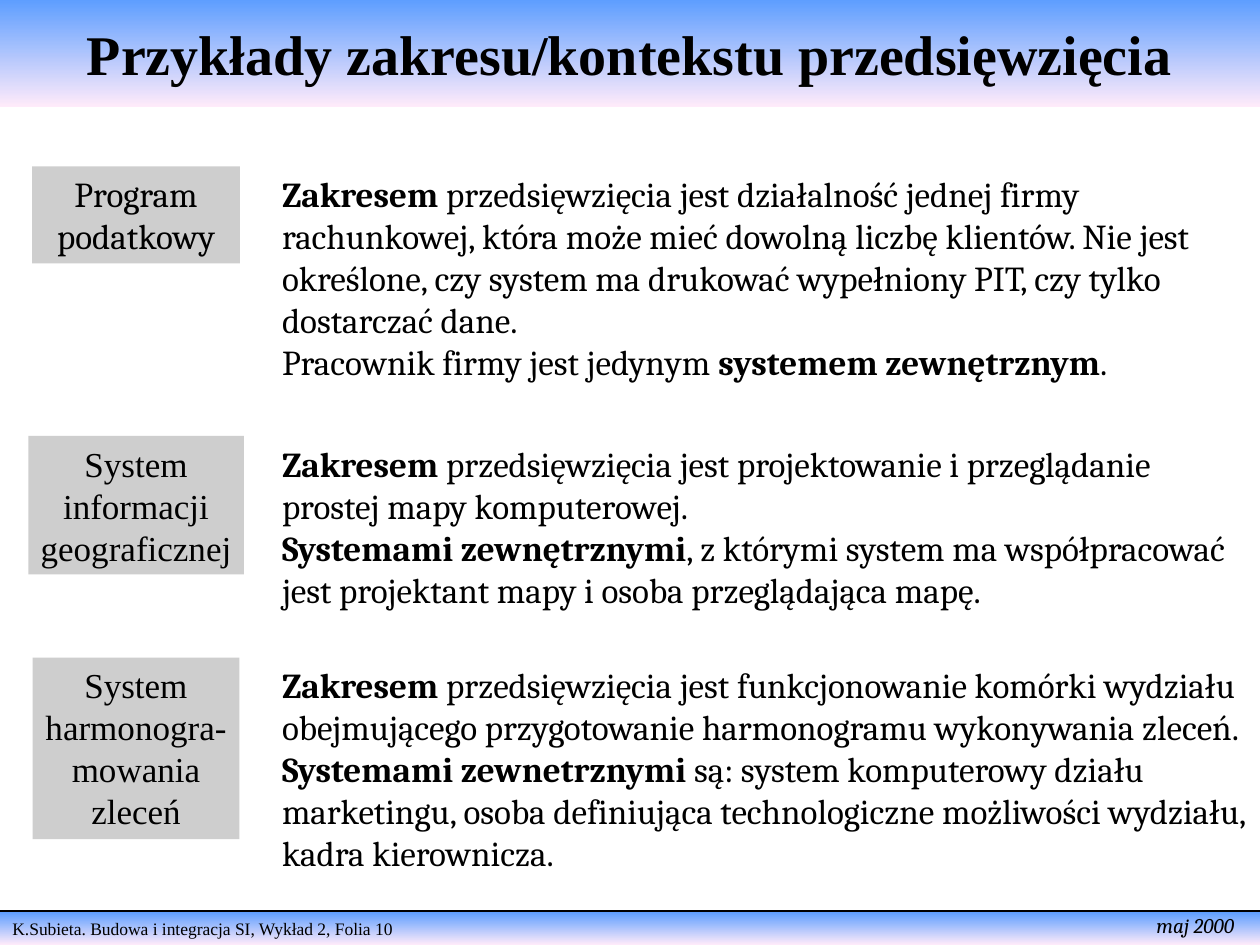
import pptx
import pptx.dml.color
import pptx.enum.shapes
import pptx.enum.text
import pptx.oxml
import pptx.oxml.ns
import pptx.util

BLACK = pptx.dml.color.RGBColor(0x00, 0x00, 0x00)
GREY = pptx.dml.color.RGBColor(0xCE, 0xCE, 0xCE)
BLUE = pptx.dml.color.RGBColor(0x5E, 0x9E, 0xFF)
PINK = pptx.dml.color.RGBColor(0xFF, 0xEB, 0xFA)
SERIF = "Times New Roman"
BODY = "Cambria"
LEFT = pptx.enum.text.PP_ALIGN.LEFT
CENTER = pptx.enum.text.PP_ALIGN.CENTER
WIDTH, HEIGHT = 10, 7.5
TEXT_LEFT = 2.14
LABEL_CENTER = 1.08

ROWS = [
    (1.32, 1.65, 0.77, 1.77, BODY, ["Program", "podatkowy"], [
        "**Zakresem** przedsięwzięcia jest działalność jednej firmy rachunkowej, "
        "która może mieć dowolną liczbę klientów. Nie jest określone, czy system "
        "ma drukować wypełniony PIT, czy tylko dostarczać dane.",
        "Pracownik firmy jest jedynym **systemem zewnętrznym**."]),
    (3.46, 1.71, 1.1, 1.44, SERIF, ["System", "informacji", "geograficznej"], [
        "**Zakresem** przedsięwzięcia jest projektowanie i przeglądanie prostej "
        "mapy komputerowej.",
        "**Systemami zewnętrznymi**, z którymi system ma współpracować jest "
        "projektant mapy i osoba przeglądająca mapę."]),
    (5.22, 1.64, 1.44, 1.77, SERIF,
     ["System", "harmonogra-", "mowania", "zleceń"], [
        "**Zakresem** przedsięwzięcia jest funkcjonowanie komórki wydziału "
        "obejmującego przygotowanie harmonogramu wykonywania zleceń.",
        "**Systemami zewnetrznymi** są: system komputerowy działu marketingu, "
        "osoba definiująca technologiczne możliwości wydziału, kadra "
        "kierownicza."]),
]


def inches(*lengths):
    return [pptx.util.Inches(n) for n in lengths]


def fill_gradient(sp):
    sp.fill.gradient()
    sp.fill.gradient_angle = 270
    for stop, color in zip(sp.fill.gradient_stops, (BLUE, PINK)):
        stop.color.rgb = color


def write(sp, lines, font, size, align=LEFT, wrap=True, italic=False,
          anchor=pptx.enum.text.MSO_ANCHOR.TOP):
    tf = sp.text_frame
    tf.word_wrap = wrap
    tf.vertical_anchor = anchor
    for i, line in enumerate(lines):
        p = tf.add_paragraph() if i else tf.paragraphs[0]
        p.alignment = align
        for j, part in enumerate(line.split("**")):
            if part:
                r = p.add_run()
                r.text = part
                r.font.name = font
                r.font.size = pptx.util.Pt(size)
                r.font.bold = j % 2 == 1
                r.font.italic = italic
                r.font.color.rgb = BLACK


def add_box(s, box):
    sp = s.shapes.add_shape(pptx.enum.shapes.MSO_SHAPE.RECTANGLE, *inches(*box))
    sp.shadow.inherit = False
    sp.line.fill.background()
    return sp


def add_title(s, box):
    sp = s.shapes.title
    sp.left, sp.top, sp.width, sp.height = inches(*box)
    fill_gradient(sp)
    write(sp, ["**Przykłady zakresu/kontekstu przedsięwzięcia**"], SERIF, 32,
          CENTER, anchor=pptx.enum.text.MSO_ANCHOR.MIDDLE)


def add_footer(s, box):
    left, top, width, height = box
    bar = add_box(s, box)
    fill_gradient(bar)
    write(bar, ["K.Subieta. Budowa i integracja SI, Wykład 2, Folia 10"], SERIF, 10)

    rule_y = top - 0.01
    rule = s.shapes.add_connector(
        pptx.enum.shapes.MSO_CONNECTOR.STRAIGHT,
        *inches(left, rule_y, left + width, rule_y))
    rule.line.color.rgb = BLACK
    rule.line.width = pptx.util.Pt(1)
    sp_pr = rule._element.find(pptx.oxml.ns.qn("p:spPr"))
    sp_pr.append(pptx.oxml.parse_xml(
        "<a:effectLst %s/>" % pptx.oxml.ns.nsdecls("a")))

    date = s.shapes.add_textbox(*inches(left + width - 0.92, top - 0.05, 0.82, 0.3))
    write(date, ["maj 2000"], BODY, 12, wrap=False, italic=True)


def add_example(s, top, label_width, label_height, text_height, font, label, text):
    sp = add_box(s, (LABEL_CENTER - label_width / 2, top, label_width, label_height))
    sp.fill.solid()
    sp.fill.fore_color.rgb = GREY
    write(sp, label, font, 20, CENTER, wrap=font == BODY)

    sp = s.shapes.add_textbox(
        *inches(TEXT_LEFT, top, WIDTH - TEXT_LEFT, text_height))
    write(sp, text, BODY, 20)


def main():
    prs = pptx.Presentation()
    prs.slide_width, prs.slide_height = inches(WIDTH, HEIGHT)
    s = prs.slides.add_slide(prs.slide_layouts[5])
    add_footer(s, (0, HEIGHT - 0.26, WIDTH, 0.26))
    add_title(s, (0, 0, WIDTH, 0.85))
    for row in ROWS:
        add_example(s, *row)
    prs.save("out.pptx")


if __name__ == "__main__":
    main()
